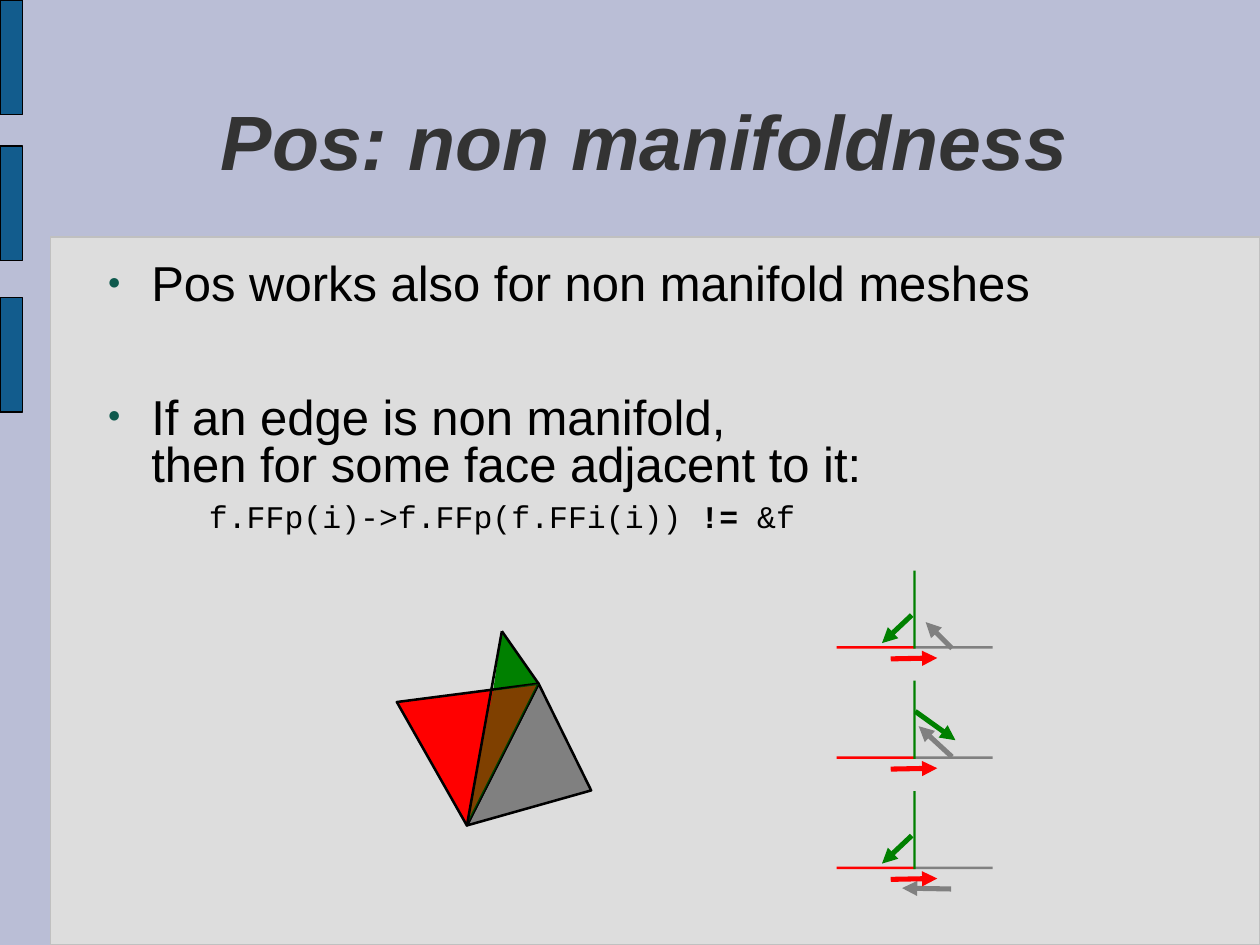
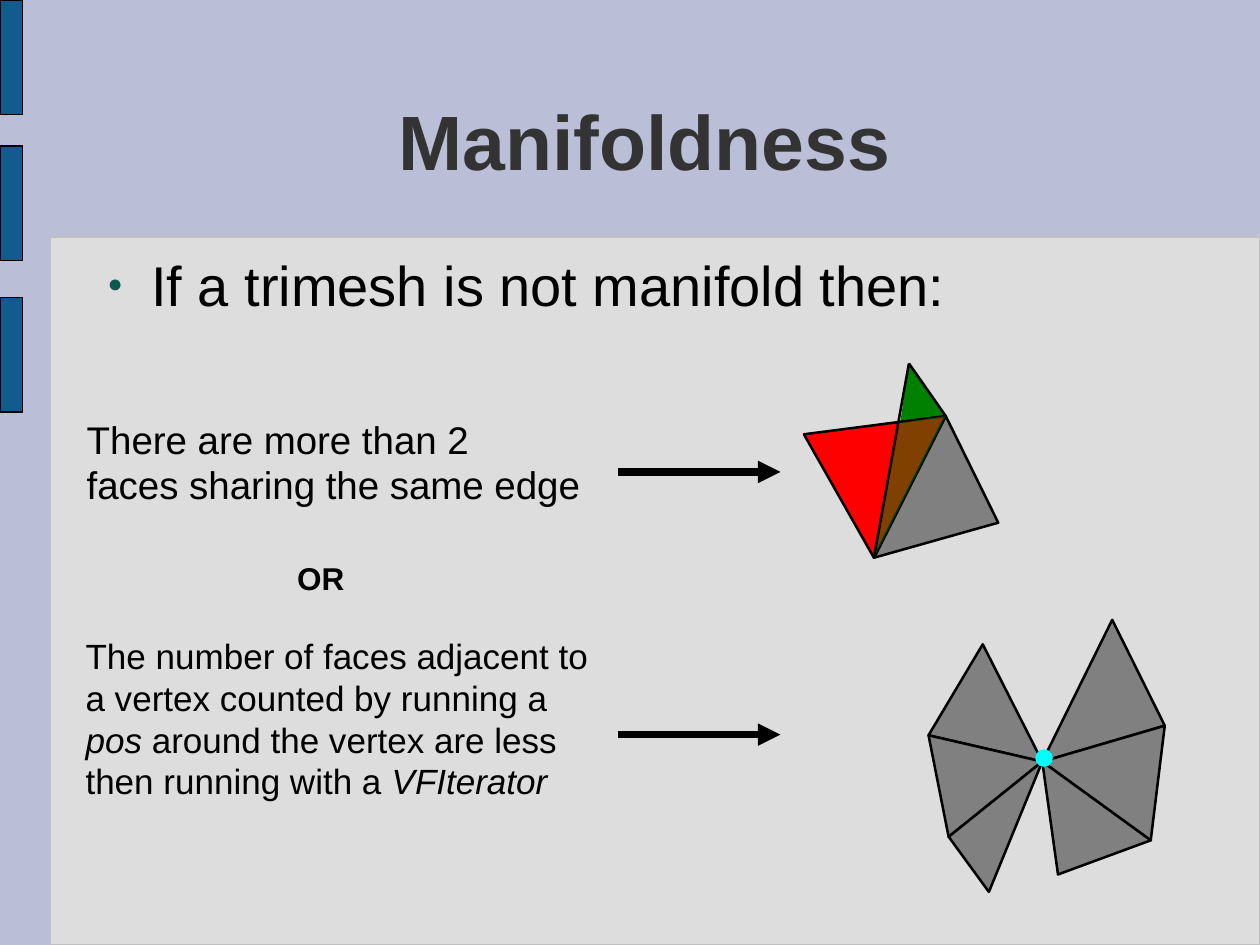
import pptx
import pptx.util
import pptx.dml.color
import pptx.enum.shapes
import pptx.enum.text
import pptx.oxml.ns
import lxml.etree

Pt = pptx.util.Pt
RGB = pptx.dml.color.RGBColor
KIND = pptx.enum.shapes.MSO_SHAPE
qn = pptx.oxml.ns.qn

BACK = RGB(0xBA, 0xBE, 0xD6)
PANEL = RGB(0xDD, 0xDD, 0xDD)
RIM = RGB(0xC0, 0xC0, 0xC0)
BAND = RGB(0x12, 0x5C, 0x8D)
HEAD = RGB(0x33, 0x33, 0x33)
DOT = RGB(0x0E, 0x59, 0x4D)
BLACK = RGB(0, 0, 0)
GREY = RGB(0x80, 0x80, 0x80)
GREEN = RGB(0, 0x80, 0)
RED = RGB(0xFF, 0, 0)
CYAN = RGB(0, 0xFF, 0xFF)

SANS = "Arial"
MONO = "Courier New"
EDGE = 1.45   # outline of a mesh face
TIGHT = 0.81  # line spacing of most text


# Basic parts

def paint(shape, fill, line=None, width=0.75):
    shape.shadow.inherit = False
    shape.fill.solid()
    shape.fill.fore_color.rgb = fill
    if line is None:
        shape.line.fill.background()
    else:
        shape.line.color.rgb = line
        shape.line.width = Pt(width)


def add_box(slide, kind, box, fill, line=None):
    shape = slide.shapes.add_shape(kind, *map(Pt, box))
    if kind == KIND.ROUNDED_RECTANGLE:
        shape.adjustments[0] = 0
    paint(shape, fill, line)
    return shape


def add_face(slide, origin, points, fill, line=None, alpha=None):
    left, top = origin
    spots = [(Pt(left + x), Pt(top + y)) for x, y in points]
    pen = slide.shapes.build_freeform(*spots[0])
    pen.add_line_segments(spots[1:], close=True)
    shape = pen.convert_to_shape()
    paint(shape, fill, line, EDGE)
    if alpha:
        color = next(shape.element.spPr.iter(qn("a:srgbClr")))
        lxml.etree.SubElement(color, qn("a:alpha"), val=str(alpha * 1000))


def add_line(slide, origin, start, end, color, width, arrow=False):
    left, top = origin
    ends = [Pt(base + step) for point in (start, end)
            for base, step in zip((left, top), point)]
    line = slide.shapes.add_connector(
        pptx.enum.shapes.MSO_CONNECTOR.STRAIGHT, *ends)
    line.line.color.rgb = color
    line.line.width = Pt(width)
    props = line.element.spPr
    if arrow:
        lxml.etree.SubElement(props.find(qn("a:ln")), qn("a:tailEnd"),
                              type="triangle")
    lxml.etree.SubElement(props, qn("a:effectLst"))


# Text

def set_font(font, size, color=BLACK, name=SANS, bold=False):
    font.size = Pt(size)
    font.name = name
    font.color.rgb = color
    font.bold = bold


def place(shape, box):
    shape.left, shape.top, shape.width, shape.height = map(Pt, box)
    frame = shape.text_frame
    frame.word_wrap = True
    frame.auto_size = pptx.enum.text.MSO_AUTO_SIZE.NONE
    return frame


def clear_inset(frame):
    frame.margin_left = frame.margin_right = 0
    frame.margin_top = frame.margin_bottom = 0


def indent(para, left, first):
    props = para._p.get_or_add_pPr()
    props.set("marL", str(Pt(left)))
    props.set("indent", str(Pt(first)))
    return props


def add_bullet(para):
    props = indent(para, 34, -25)
    color = lxml.etree.SubElement(props, qn("a:buClr"))
    lxml.etree.SubElement(color, qn("a:srgbClr"), val=str(DOT))
    lxml.etree.SubElement(props, qn("a:buSzPct"), val="45000")
    lxml.etree.SubElement(props, qn("a:buFont"), typeface=SANS)
    lxml.etree.SubElement(props, qn("a:buChar"), char="●")


def set_title(slide, text, italic):
    frame = place(slide.shapes.title, (52.5, 39, 615, 91.5))
    clear_inset(frame)
    frame.vertical_anchor = pptx.enum.text.MSO_ANCHOR.MIDDLE
    para = frame.paragraphs[0]
    para.text = text
    para.alignment = pptx.enum.text.PP_ALIGN.CENTER
    para.line_spacing = TIGHT
    indent(para, 34, -17)
    set_font(para.font, 44, HEAD, bold=True)
    para.font.italic = italic


def set_list(slide, box, items, size, after):
    """Each item is its text and the space before it."""
    frame = place(slide.placeholders[1], box)
    clear_inset(frame)
    for index, (text, before) in enumerate(items):
        para = frame.add_paragraph() if index else frame.paragraphs[0]
        para.text = text
        add_bullet(para)
        para.line_spacing = TIGHT
        para.space_before = Pt(before)
        para.space_after = Pt(after)
        set_font(para.font, size)


def add_text(slide, box, lines, size, name=SANS, bold=False,
             before=0, after=0, spacing=TIGHT, style="italic"):
    """Each line is a list of runs; a run in a tuple takes the style."""
    frame = place(slide.shapes.add_textbox(0, 0, 0, 0), box)
    for index, runs in enumerate(lines):
        para = frame.add_paragraph() if index else frame.paragraphs[0]
        para.line_spacing = spacing
        para.space_before = Pt(before)
        para.space_after = Pt(after)
        set_font(para.font, size, name=name, bold=bold)
        for part in runs:
            run = para.add_run()
            if isinstance(part, tuple):
                run.text = part[0]
                setattr(run.font, style, True)
            else:
                run.text = part


# Slide frame: panel, side bands and title

def add_frame(deck, title, italic=False):
    slide = deck.slides.add_slide(deck.slide_layouts[1])
    rim = [add_box(slide, KIND.ROUNDED_RECTANGLE, (29, 135.5, 691, 404.5),
                   PANEL, RIM)]
    for top in (0, 83.5, 170):
        rim.append(add_box(slide, KIND.RECTANGLE, (0, top, 13, 65.5),
                           BAND, BLACK))
    for shape in rim:
        slide.shapes.title.element.addprevious(shape.element)
    set_title(slide, title, italic)
    return slide


# Mesh drawings

def draw_fins(slide, origin):
    """Three faces that share one edge."""
    foot, joint, peak, cross = (40, 111), (81, 30), (60, 0), (55, 34)
    add_face(slide, origin, (foot, (111, 91), joint), GREY, BLACK)
    add_face(slide, origin, (cross, peak, joint), GREEN)
    add_face(slide, origin, (foot, (0, 40.5), joint), RED, BLACK)
    add_face(slide, origin, (foot, cross, joint), GREEN, alpha=50)
    for start in (foot, joint):
        add_line(slide, origin, start, peak, BLACK, EDGE)


def draw_wings(slide, origin):
    """Two fans of faces that meet at one vertex."""
    hub = (65, 81)
    fans = (((105, 0), (135, 60.5), (127, 126), (74, 145.5)),
            ((31, 14), (0, 66), (11.5, 124), (34.5, 155.5)))
    for fan in fans:
        for near, far in zip(fan, fan[1:]):
            add_face(slide, origin, (hub, near, far), GREY, BLACK)
    left, top = origin
    add_box(slide, KIND.OVAL, (left + 61, top + 74, 10, 10), CYAN)


def draw_cross(slide, origin, arrows):
    """Side view of the three faces, with an arrow for each."""
    left, top = origin
    arm, thin = 44.6, 1.4
    bars = (((0, arm - thin, arm, thin), RED),
            ((arm, arm - thin, arm, thin), GREY),
            ((arm - thin / 2, 0, thin, arm), GREEN))
    for (x, y, wide, high), color in bars:
        add_box(slide, KIND.ROUNDED_RECTANGLE,
                (left + x, top + y, wide, high), color)
    for color, start, end in arrows:
        add_line(slide, origin, start, end, color, 2.89, arrow=True)


# Slides

def build_pos(deck):
    slide = add_frame(deck, "Pos: non manifoldness", italic=True)
    items = (("Pos works also for non manifold meshes", 5.8),
             ("If an edge is non manifold,\n"
              "then for some face adjacent to it:", 44))
    set_list(slide, (52.5, 150.5, 615, 333), items, 28, 5.2)
    draw_fins(slide, (226.8, 360.7))

    red = (RED, (31, 50.5), (57.6, 50))
    green = (GREEN, (43, 25.5), (26, 41.5))
    steps = (((GREY, (66, 44.5), (51, 29.5)), green, red),
             ((GREY, (66, 43.5), (47, 26)),
              (GREEN, (45, 17.5), (68, 34)), red),
             ((GREY, (65.5, 56), (37.5, 55.5)), green, red))
    for index, arrows in enumerate(steps):
        draw_cross(slide, (478, 326 + 63 * index), arrows)

    code = ["f.FFp(i)->f.FFp(f.FFi(i)) ", ("!=",), " &f"]
    add_text(slide, (112.3, 283, 370, 27.5), [code], 18, name=MONO,
             spacing=0.89, style="bold")


def build_cases(deck):
    slide = add_frame(deck, "Manifoldness")
    set_list(slide, (52.5, 150, 615, 62.5),
             [("If a trimesh is not manifold then:", 0)], 32, 6)
    add_text(slide, (42.5, 239, 310, 57.5),
             [["There are more than 2"], ["faces sharing the same edge"]],
             22, before=4.4)
    add_text(slide, (41.8, 363.6, 327.5, 101),
             [["The number of faces adjacent to"],
              ["a vertex counted by running a"],
              [("pos ",), "around the vertex are less"],
              ["then running with a ", ("VFIterator",)]],
             20, after=4.4)
    draw_fins(slide, (459.4, 207.7))
    for top in (269.7, 419.8):
        add_line(slide, (353, top), (0, 0), (93, 0), BLACK, 4.31, arrow=True)
    draw_wings(slide, (530.6, 354.2))
    add_text(slide, (162.7, 319.7, 60, 28), [["OR"]], 18, bold=True)


def main():
    deck = pptx.Presentation()
    deck.slide_width, deck.slide_height = Pt(720), Pt(540)
    fill = deck.slide_master.background.fill
    fill.solid()
    fill.fore_color.rgb = BACK
    build_pos(deck)
    build_cases(deck)
    deck.save("out.pptx")


if __name__ == "__main__":
    main()
